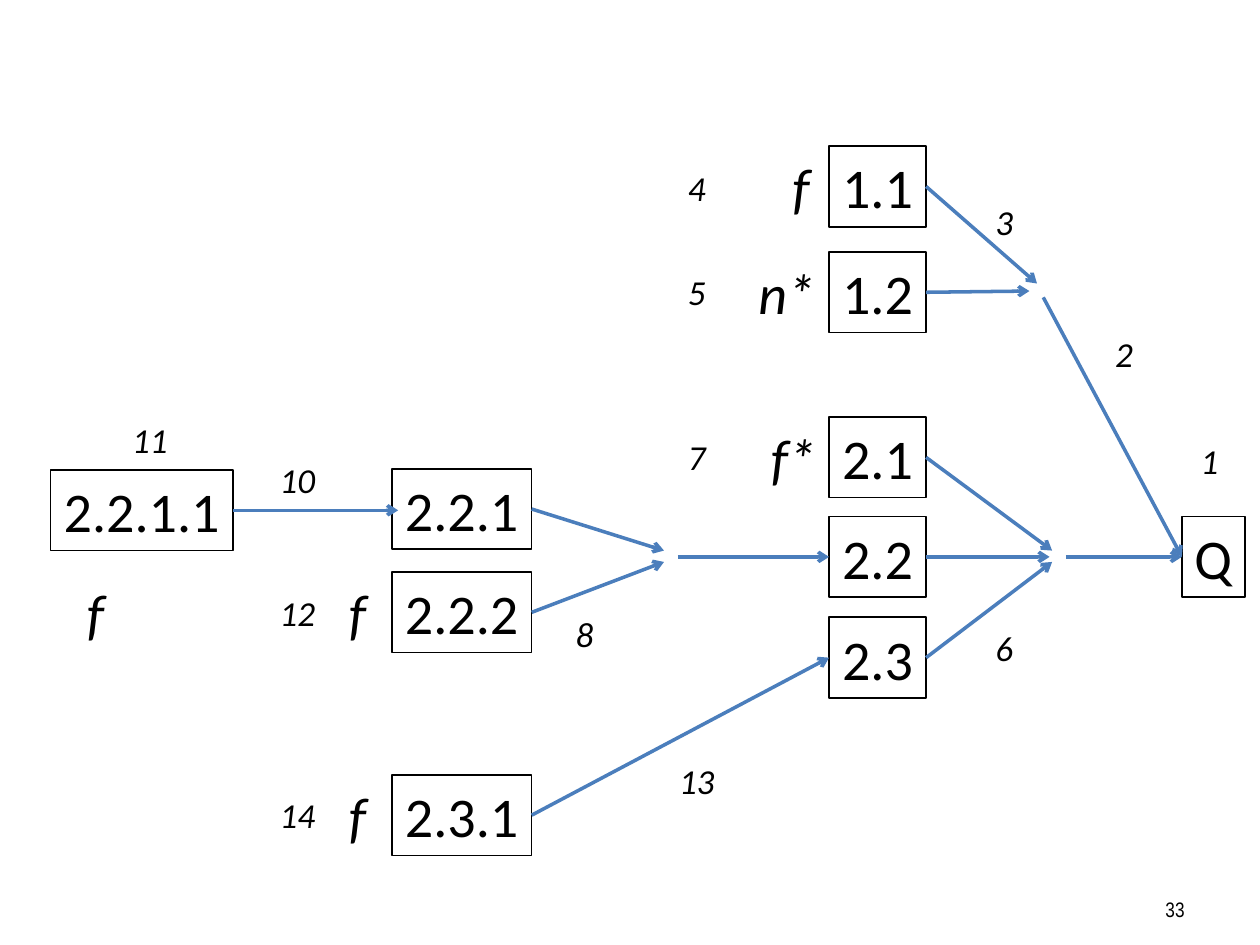
from lxml import etree
from pptx import Presentation, util as u
from pptx.dml.color import RGBColor
from pptx.enum import shapes as sh, text as tx
from pptx.oxml.ns import qn

INK = {"text": "000000", "box": "FFFFFF", "edge": "000000", "arrow": "4B7EBC"}
HIGH = 0.64

# name: left, top, width
BOXES = {
    "2.1": (6.58, 3.31, 0.77), "2.3": (6.58, 4.9, 0.77),
    "2.2": (6.58, 4.1, 0.77), "Q": (9.38, 4.1, 0.5),
    "2.2.1": (3.11, 3.72, 1.11), "2.2.2": (3.11, 4.54, 1.11),
    "2.2.1.1": (0.4, 3.73, 1.45), "2.3.1": (3.11, 6.15, 1.11),
    "1.1": (6.58, 1.16, 0.77), "1.2": (6.58, 2, 0.77),
}
# step number: left, top
STEPS = {
    1: (9.21, 3.35), 2: (8.53, 2.5), 3: (7.58, 1.45), 4: (5.14, 1.18),
    5: (5.14, 2.01), 6: (7.58, 4.83), 7: (5.14, 3.32), 8: (4.25, 4.72),
    10: (1.97, 3.5), 11: (0.8, 3.18), 12: (1.97, 4.56),
    13: (5.14, 5.89), 14: (1.97, 6.16),
}
# mark, left, top, width
MARKS = [
    ("f*", 6.02, 3.31, 0.58), ("f", 2.67, 4.54, 0.41), ("f", 0.59, 4.54, 0.41),
    ("f", 2.67, 6.15, 0.41), ("n*", 5.92, 2, 0.69), ("f", 6.19, 1.16, 0.41),
]
# a box name stands for its side, a pair for a free point
ARROWS = [
    ("1.1", (8.23, 2.25)), ("1.2", (8.17, 2.31)), ((8.28, 2.36), "Q"),
    ("2.1", (8.35, 4.37)), ("2.3", (8.35, 4.46)), ("2.2", (8.33, 4.42)),
    ((8.46, 4.42), "Q"), ("2.2.1", (5.27, 4.37)), ("2.2.2", (5.27, 4.46)),
    ((5.38, 4.42), "2.2"), ("2.2.1.1", (3.16, 4.05)), ("2.3.1", "2.3"),
]


def tint(name):
    """Give the colour of that name."""
    return RGBColor.from_string(INK[name])


def write(shape, words, size, align, anchor, font="Calibri", slant=False, wrap=False):
    """Put one run of text in a shape."""
    frame = shape.text_frame
    frame.word_wrap = wrap
    frame.vertical_anchor = anchor
    para = frame.paragraphs[0]
    para.alignment = align
    run = para.add_run()
    run.text = words
    run.font.name = font
    run.font.size = u.Pt(size)
    run.font.italic = slant
    run.font.color.rgb = tint("text")


def add_box(slide, name, left, top, width):
    """Draw a framed node."""
    box = slide.shapes.add_shape(sh.MSO_SHAPE.RECTANGLE, *map(u.Inches, (left, top, width, HIGH)))
    box.shadow.inherit = False
    box.fill.solid()
    box.fill.fore_color.rgb = tint("box")
    box.line.color.rgb = tint("edge")
    box.line.width = u.Pt(1)
    write(box, name, 32, tx.PP_ALIGN.CENTER, tx.MSO_ANCHOR.MIDDLE)


def add_step(slide, num, left, top):
    """Set a step number in a bare oval."""
    oval = slide.shapes.add_shape(sh.MSO_SHAPE.OVAL, *map(u.Inches, (left, top, 0.78, 0.61)))
    oval.shadow.inherit = False
    oval.fill.background()
    oval.line.fill.background()
    write(oval, str(num), 20, tx.PP_ALIGN.CENTER, tx.MSO_ANCHOR.MIDDLE, slant=True)


def add_mark(slide, words, left, top, width):
    """Set a large mark beside a node."""
    mark = slide.shapes.add_textbox(*map(u.Inches, (left, top, width, HIGH)))
    write(mark, words, 32, tx.PP_ALIGN.LEFT, tx.MSO_ANCHOR.TOP, slant=True, wrap=True)


def add_page(slide, words):
    """Set the page number."""
    page = slide.shapes.add_textbox(*map(u.Inches, (7.17, 7.08, 2.33, 0.27)))
    write(page, words, 12, tx.PP_ALIGN.RIGHT, tx.MSO_ANCHOR.MIDDLE, "Arial Narrow", wrap=True)


def point(end, right):
    """Find the middle of a node's right or left side, or a free point."""
    if end not in BOXES:
        return end
    left, top, width = BOXES[end]
    return left + width * right, top + HIGH / 2


def add_arrow(slide, start, end):
    """Draw an arrow from start to end."""
    ends = point(start, True) + point(end, False)
    line = slide.shapes.add_connector(sh.MSO_CONNECTOR.STRAIGHT, *map(u.Inches, ends))
    line.line.color.rgb = tint("arrow")
    line.line.width = u.Pt(2)
    etree.SubElement(line.line._get_or_add_ln(), qn("a:tailEnd"), type="arrow")
    etree.SubElement(line._element.spPr, qn("a:effectLst"))


def main():
    """Build the slide."""
    deck = Presentation()
    deck.slide_width, deck.slide_height = u.Inches(10), u.Inches(7.5)
    slide = deck.slides.add_slide(deck.slide_layouts[6])
    add_page(slide, "33")
    for num, spot in STEPS.items():
        add_step(slide, num, *spot)
    for name, spot in BOXES.items():
        add_box(slide, name, *spot)
    for mark in MARKS:
        add_mark(slide, *mark)
    for start, end in ARROWS:
        add_arrow(slide, start, end)
    deck.save("out.pptx")


main()
